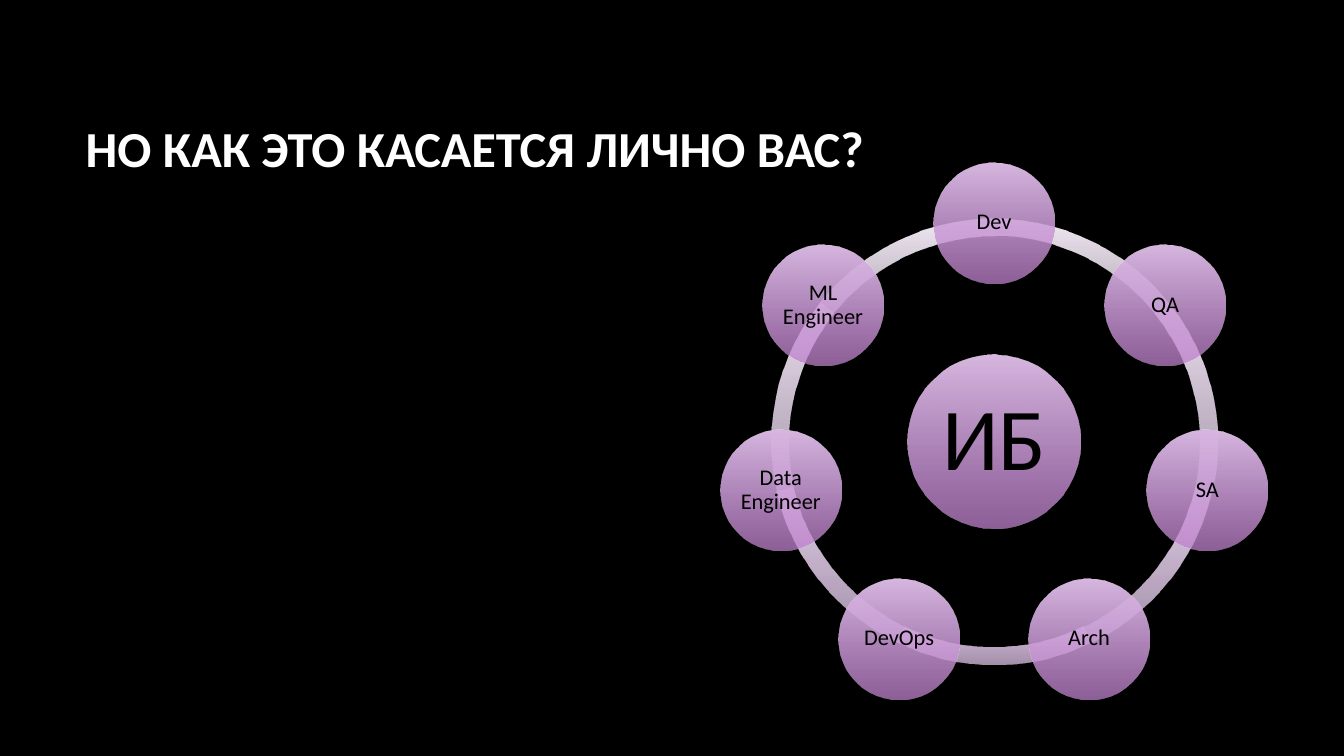
"""Build the slide showing the roles arranged around information security."""
from dataclasses import dataclass
from math import cos, radians, sin

from lxml.etree import SubElement
from pptx import Presentation
from pptx.dml.color import RGBColor
from pptx.enum.shapes import MSO_SHAPE
from pptx.enum.text import MSO_ANCHOR, MSO_AUTO_SIZE, PP_ALIGN
from pptx.oxml.ns import qn
from pptx.util import Inches, Pt


@dataclass(frozen=True)
class Theme:
    font: str = "Calibri"
    background: str = "000000"
    title_color: str = "FFFFFF"
    label_color: str = "000000"
    ring_gradient: tuple = ("F2EAF5", "DBC1E3")
    circle_gradient: tuple = ("D8B7E1", "BF82CE")
    end_opacity: int = 74
    title_size: int = 36
    center_size: int = 63
    role_size: int = 16


theme = Theme()


def write_text(shape, text, *, size, color, bold=False, align=PP_ALIGN.CENTER,
               line_spacing=0.9, inset=0.02):
    frame = shape.text_frame
    frame.word_wrap = True
    frame.auto_size = MSO_AUTO_SIZE.NONE
    frame.vertical_anchor = MSO_ANCHOR.MIDDLE
    frame.margin_left = frame.margin_right = Inches(inset)
    frame.margin_top = frame.margin_bottom = Inches(inset)
    frame.text = text
    paragraph = frame.paragraphs[0]
    paragraph.alignment = align
    paragraph.line_spacing = line_spacing
    font = paragraph.runs[0].font
    font.name = theme.font
    font.size = Pt(size)
    font.bold = bold
    font.color.rgb = RGBColor.from_string(color)


def add_round_shape(kind, center_x, center_y, diameter, gradient):
    shape = slide.shapes.add_shape(
        kind, Inches(center_x - diameter / 2), Inches(center_y - diameter / 2),
        Inches(diameter), Inches(diameter))
    shape.shadow.inherit = False
    shape.line.fill.background()
    shape.fill.gradient()
    shape.fill.gradient_angle = 270
    for stop, color in zip(shape.fill.gradient_stops, gradient):
        stop.color.rgb = RGBColor.from_string(color)
    end_color = shape.element.xpath(".//a:gs[2]/a:srgbClr")[0]
    SubElement(end_color, qn("a:alpha")).set("val", str(theme.end_opacity * 1000))
    return shape


presentation = Presentation()
presentation.slide_width = Inches(13.33)
presentation.slide_height = Inches(7.5)
slide = presentation.slides.add_slide(presentation.slide_layouts[5])
slide.background.fill.solid()
slide.background.fill.fore_color.rgb = RGBColor.from_string(theme.background)

title = slide.shapes.title
title.left, title.top = Inches(0.75), Inches(0.67)
title.width, title.height = Inches(11.08), Inches(1.59)
write_text(title, "НО КАК ЭТО КАСАЕТСЯ ЛИЧНО ВАС?", size=theme.title_size,
           color=theme.title_color, bold=True, align=PP_ALIGN.LEFT,
           line_spacing=1.0, inset=0.1)

roles = ["Dev", "QA", "SA", "Arch", "DevOps", "Data Engineer", "ML Engineer"]
ring_x, ring_y, orbit_radius = 9.86, 4.38, 2.17
ring_diameter, center_diameter, role_diameter = 4.42, 1.72, 1.2
step = 360 / len(roles)
angles = [270 + step * index for index in range(len(roles))]

for angle in reversed(angles):
    arc = add_round_shape(MSO_SHAPE.BLOCK_ARC, ring_x, ring_y, ring_diameter,
                          theme.ring_gradient)
    arc.adjustments[0] = angle % 360 * 0.6
    arc.adjustments[1] = (angle + step) % 360 * 0.6
    arc.adjustments[2] = 0.039

center = add_round_shape(MSO_SHAPE.OVAL, ring_x, ring_y, center_diameter,
                         theme.circle_gradient)
write_text(center, "ИБ", size=theme.center_size, color=theme.label_color, inset=0.09)

for role, angle in zip(roles, angles):
    circle = add_round_shape(
        MSO_SHAPE.OVAL, ring_x + orbit_radius * cos(radians(angle)),
        ring_y + orbit_radius * sin(radians(angle)), role_diameter,
        theme.circle_gradient)
    write_text(circle, role, size=theme.role_size, color=theme.label_color)

presentation.save("out.pptx")
